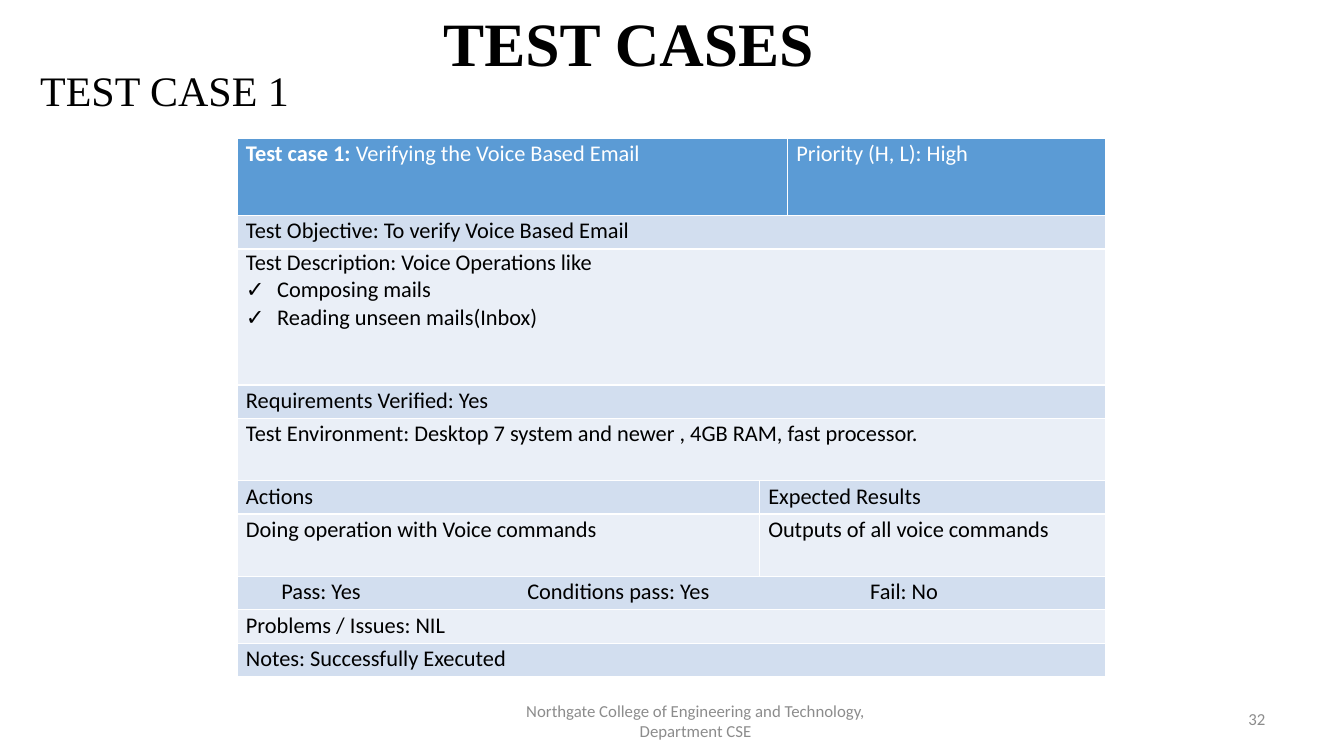
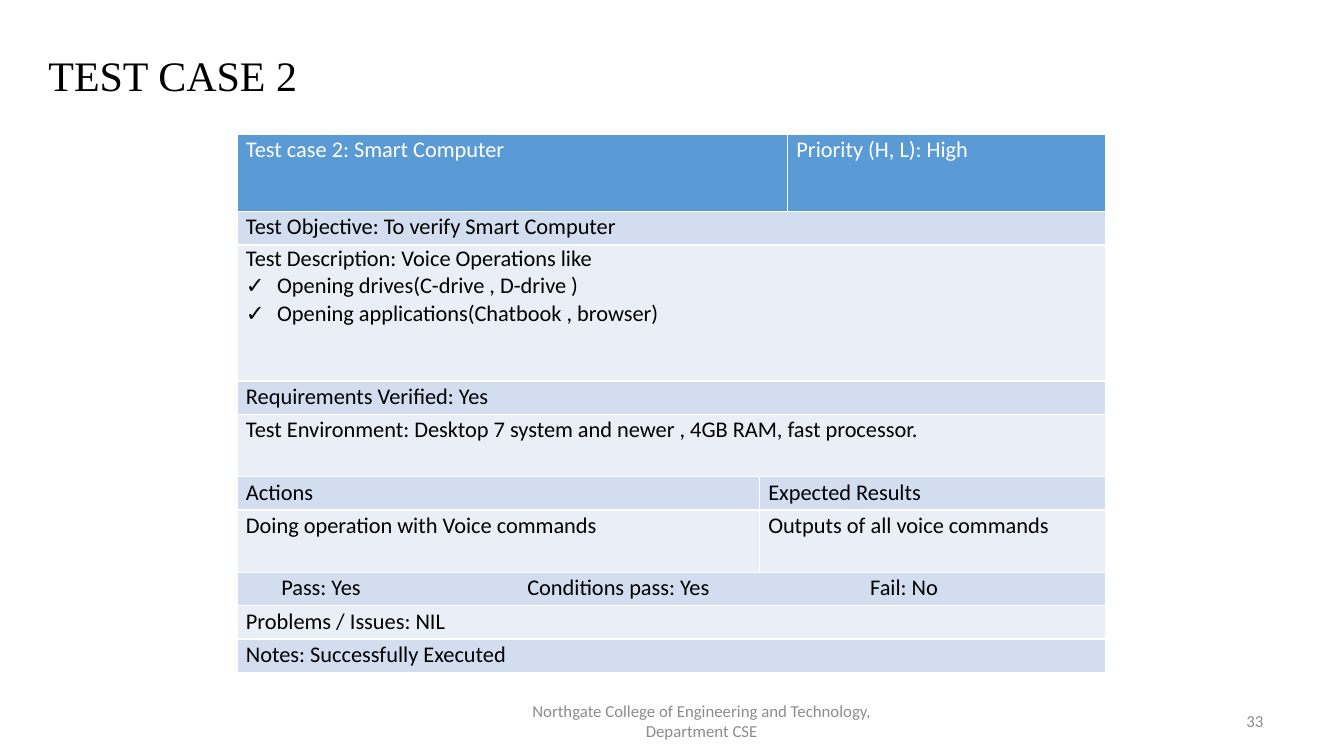
from dataclasses import dataclass
from typing import NamedTuple

from lxml.etree import SubElement
from pptx import Presentation
from pptx.dml.color import RGBColor
from pptx.enum.text import MSO_ANCHOR, MSO_AUTO_SIZE, PP_ALIGN
from pptx.oxml.ns import qn
from pptx.util import Inches, Pt

WIDE, HIGH = 13.33, 7.5


@dataclass(frozen=True)
class Theme:
    serif: str = "Times New Roman"
    sans: str = "Calibri"
    black: str = "000000"
    white: str = "FFFFFF"
    grey: str = "8C8C8C"
    head: str = "5B9BD5"
    bands: tuple = ("EAEFF7", "D2DEEF")
    banner: int = 44
    title: int = 30
    body: int = 16
    small: int = 12
    rule: int = 1


THEME = Theme()


class Box(NamedTuple):
    """A place, in percent of the slide's width and height."""
    left: float
    top: float
    width: float
    height: float


@dataclass(frozen=True)
class Case:
    number: int
    lead: str
    name: str
    goal: str
    steps: tuple
    title: Box
    top: float
    foot: Box
    page: Box
    banner: str = ""
    label: Box | None = None


CASES = (
    Case(1, "Test case 1:", " Verifying the Voice Based Email", "Voice Based Email",
         ("Composing mails", "Reading unseen mails(Inbox)"),
         title=Box(2.7, 0, 88.15, 17.87), top=18.27,
         foot=Box(38.18, 92.67, 27.16, 5.33), page=Box(77.42, 92.4, 17.48, 5.33),
         banner="TEST CASES", label=Box(2.25, 7.87, 21.38, 8.13)),
    Case(2, "", "Test case 2: Smart Computer", "Smart Computer",
         ("Opening drives(C-drive , D-drive )",
          "Opening applications(Chatbook , browser)"),
         title=Box(2.85, 0.4, 79.52, 13.6), top=17.73,
         foot=Box(38.18, 92.67, 28.06, 5.33), page=Box(77.27, 92.67, 17.48, 5.33)),
)

FIRST_PAGE = 32
FOOTER = "Northgate College of Engineering and Technology, Department CSE"
LEFT = 17.63
COLS = (38.86, 2.1, 23.7)
SLIM, MID = 4.4, 8.27
ROWS = (10.27, SLIM, 18, SLIM, MID, SLIM, MID, SLIM, SLIM, SLIM)
STOPS = (0.35, 2.79, 6.19)
HANG = 0.31


def across(share: float) -> int:
    return Inches(share * WIDE / 100)


def down(share: float) -> int:
    return Inches(share * HIGH / 100)


def place(box: Box) -> tuple:
    return across(box.left), down(box.top), across(box.width), down(box.height)


def write(frame, text: str, *, lead: str = "", size: int = THEME.body,
          font: str = THEME.sans, color: str = THEME.black, bold: bool = False,
          align=PP_ALIGN.LEFT, space: float = 1.0, more: bool = False):
    """Fill the first paragraph, or add one; lead is a bold opening."""
    para = frame.add_paragraph() if more else frame.paragraphs[0]
    para.alignment, para.line_spacing = align, space
    for part, heavy in ((lead, True), (text, bold)):
        if part:
            run = para.add_run()
            run.text = part
            run.font.size, run.font.name, run.font.bold = Pt(size), font, heavy
            run.font.color.rgb = RGBColor.from_string(color)
    return para


def tick(para) -> None:
    props = para._p.get_or_add_pPr()
    props.set("marL", str(Inches(HANG)))
    props.set("indent", str(-Inches(HANG)))
    SubElement(props, qn("a:buFont"), typeface=THEME.sans)
    SubElement(props, qn("a:buChar"), char="✓")


def tabs(para) -> None:
    stops = SubElement(para._p.get_or_add_pPr(), qn("a:tabLst"))
    for stop in STOPS:
        SubElement(stops, qn("a:tab"), pos=str(Inches(stop)), algn="l")


def edge(cell) -> None:
    props = cell._tc.get_or_add_tcPr()
    for side in "LRTB":
        line = SubElement(props, qn(f"a:ln{side}"), w=str(Pt(THEME.rule)))
        fill = SubElement(line, qn("a:solidFill"))
        SubElement(fill, qn("a:srgbClr"), val=THEME.white)


def style(cell, row: int) -> None:
    edge(cell)
    cell.fill.solid()
    shade = THEME.bands[row % 2] if row else THEME.head
    cell.fill.fore_color.rgb = RGBColor.from_string(shade)
    cell.margin_left = cell.margin_right = Inches(0.09)
    cell.margin_top = cell.margin_bottom = 0


def draw_table(slide, case: Case) -> None:
    box = Box(LEFT, case.top, sum(COLS), sum(ROWS))
    table = slide.shapes.add_table(len(ROWS), len(COLS), *place(box)).table
    table.first_row = table.horz_banding = False
    for col, share in zip(table.columns, COLS):
        col.width = across(share)
    for index, share in enumerate(ROWS):
        table.rows[index].height = down(share)
        for cell in table.rows[index].cells:
            style(cell, index)

    # Each row lists its texts with the column where each one starts.
    texts = (
        {0: case.name, 2: "Priority (H, L): High"},
        {0: f"Test Objective: To verify {case.goal}"},
        {0: "Test Description: Voice Operations like"},
        {0: "Requirements Verified: Yes"},
        {0: "Test Environment: Desktop 7 system and newer , 4GB RAM, fast processor."},
        {0: "Actions", 1: "Expected Results"},
        {0: "Doing operation with Voice commands", 1: "Outputs of all voice commands"},
        {0: "\tPass: Yes\tConditions pass: Yes\tFail: No"},
        {0: "Problems / Issues: NIL"},
        {0: "Notes: Successfully Executed"},
    )
    for row, parts in enumerate(texts):
        ends = [*list(parts)[1:], len(COLS)]
        for (start, text), end in zip(parts.items(), ends):
            cell = table.cell(row, start)
            if end - start > 1:
                cell.merge(table.cell(row, end - 1))
            para = write(cell.text_frame, text,
                         lead=case.lead if row == start == 0 else "",
                         color=THEME.black if row else THEME.white,
                         space=1.0 if row == 2 else 1.07)
            if "\t" in text:
                tabs(para)
    for step in case.steps:
        tick(write(table.cell(2, 0).text_frame, step, more=True))


def add_text(slide, box: Box, text: str, anchor=MSO_ANCHOR.MIDDLE, **form) -> None:
    frame = slide.shapes.add_textbox(*place(box)).text_frame
    frame.word_wrap, frame.vertical_anchor = True, anchor
    write(frame, text, **form)


def draw_title(slide, case: Case) -> None:
    name = f"TEST CASE {case.number}"
    plain = {"size": THEME.title, "font": THEME.serif}
    shape = slide.shapes.title
    shape.left, shape.top, shape.width, shape.height = place(case.title)
    frame = shape.text_frame
    frame.word_wrap, frame.auto_size = True, MSO_AUTO_SIZE.NONE
    if case.banner:
        frame.vertical_anchor = MSO_ANCHOR.TOP
        frame.margin_top = Inches(0.13)
        write(frame, case.banner, size=THEME.banner, font=THEME.serif,
              bold=True, align=PP_ALIGN.CENTER, space=0.9)
        add_text(slide, case.label, name, MSO_ANCHOR.TOP, **plain)
    else:
        frame.vertical_anchor = MSO_ANCHOR.BOTTOM
        write(frame, name, space=0.9, **plain)


def draw_foot(slide, case: Case) -> None:
    look = {"size": THEME.small, "color": THEME.grey}
    add_text(slide, case.foot, FOOTER, align=PP_ALIGN.CENTER, **look)
    page = FIRST_PAGE + case.number - 1
    add_text(slide, case.page, str(page), align=PP_ALIGN.RIGHT, **look)


def main() -> None:
    deck = Presentation()
    deck.slide_width, deck.slide_height = Inches(WIDE), Inches(HIGH)
    for case in CASES:
        slide = deck.slides.add_slide(deck.slide_layouts[5])
        draw_title(slide, case)
        draw_table(slide, case)
        draw_foot(slide, case)
    deck.save("out.pptx")


if __name__ == "__main__":
    main()
